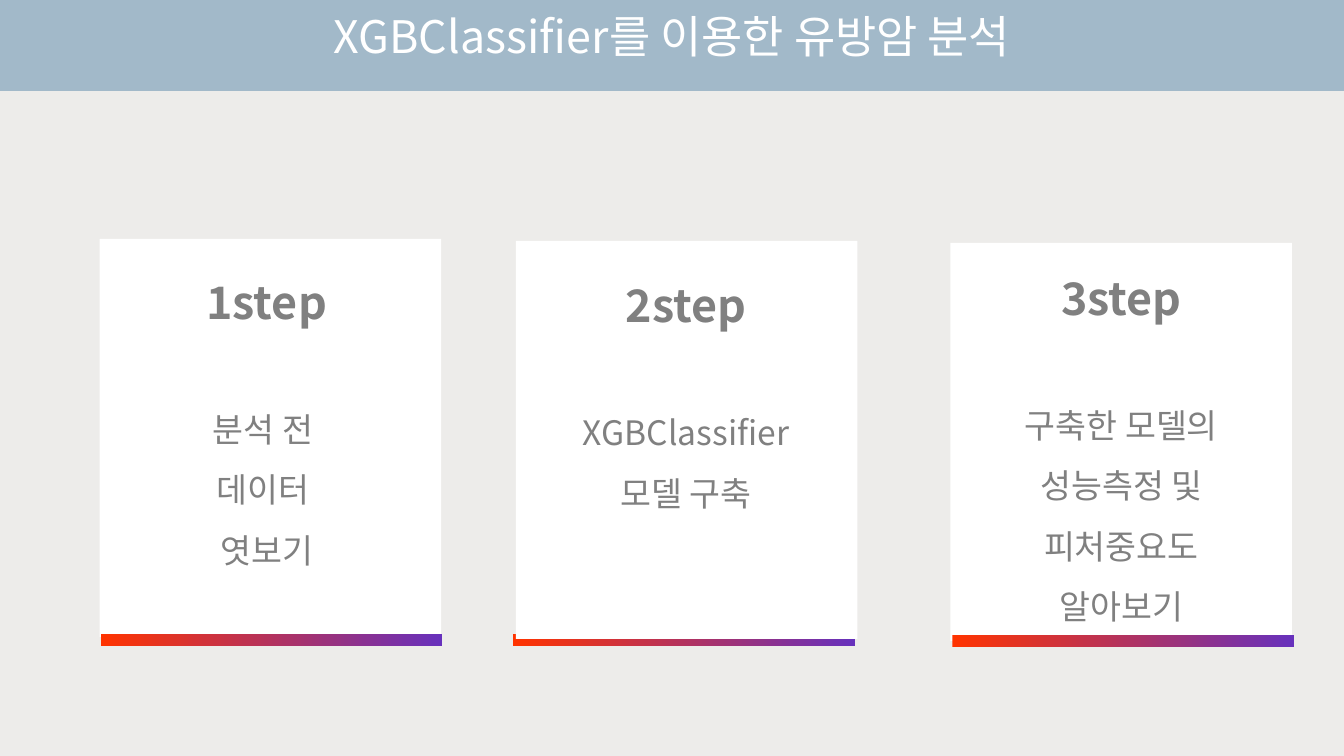
"""Build a slide with three step cards for a breast cancer analysis."""
import pptx
import pptx.util
import pptx.dml.color
import pptx.enum.shapes
import pptx.enum.text
import pptx.oxml
import pptx.oxml.ns

Cm, Pt = pptx.util.Cm, pptx.util.Pt
FONT = "Noto Sans CJK KR"
CARD_WIDTH, CARD_HEIGHT, BAR_HEIGHT = 8.61, 10.03, 0.3
TEXT_WIDTH = 6.22


def paint(fill, colors, positions=(0, 1), angle=0):
    """Fill with one hex colour, or with a gradient between two."""
    rgb = [pptx.dml.color.RGBColor.from_string(color) for color in colors]
    if len(rgb) == 1:
        fill.solid()
        fill.fore_color.rgb = rgb[0]
        return
    fill.gradient()
    fill.gradient_angle = angle
    for stop, color, position in zip(fill.gradient_stops, rgb, positions):
        stop.color.rgb = color
        stop.position = position


def write(paragraph, text, color, paragraph_format, **font_format):
    """Add a centred run with the given format."""
    run = paragraph.add_run()
    run.text = text
    paragraph.alignment = pptx.enum.text.PP_ALIGN.CENTER
    for name, value in paragraph_format.items():
        setattr(paragraph, name, value)
    for name, value in {"name": FONT, **font_format}.items():
        setattr(run.font, name, value)
    paint(run.font.fill, [color])
    east_asian = pptx.oxml.parse_xml(
        f'<a:ea {pptx.oxml.ns.nsdecls("a")} typeface="{FONT}"/>')
    run.font._element.find(pptx.oxml.ns.qn("a:latin")).addnext(east_asian)


presentation = pptx.Presentation()
presentation.slide_width, presentation.slide_height = Cm(33.87), Cm(19.05)
slide = presentation.slides.add_slide(presentation.slide_layouts[5])
paint(slide.background.fill, ["EDECEA", "A2B9C9"], (0.88, 0.88), 90)

title = slide.shapes.title
title_format = {"left": Cm(7.49), "top": Cm(0.1), "width": Cm(18.9), "height": Cm(1.63)}
for name, value in title_format.items():
    setattr(title, name, value)
title.text_frame.vertical_anchor = pptx.enum.text.MSO_ANCHOR.TOP
title.text_frame.auto_size = pptx.enum.text.MSO_AUTO_SIZE.SHAPE_TO_FIT_TEXT
write(title.text_frame.paragraphs[0], "XGBClassifier를 이용한 유방암 분석", "FFFFFF", {},
      size=Pt(32))

steps = [
    {"card": (2.51, 6.02), "bar": (2.54, 15.98), "text": (3.61, 6.12, 8.26),
     "bar_behind": False, "lines": ["분석 전 ", "데이터 ", "엿보기"]},
    {"card": (13.0, 6.07), "bar": (12.93, 15.98), "text": (14.18, 6.2, 6.73),
     "bar_behind": True, "lines": ["XGBClassifier", "모델 구축"]},
    {"card": (23.95, 6.12), "bar": (24.0, 16.0), "text": (25.15, 6.02, 12.4),
     "bar_behind": False, "lines": ["구축한 모델의", "성능측정 및", "피처중요도", "알아보기"]},
]
for number, step in enumerate(steps, 1):
    layers = [("card", CARD_HEIGHT, ["FFFFFF"]), ("bar", BAR_HEIGHT, ["FF3300", "6731BC"])]
    if step["bar_behind"]:
        layers.reverse()
    for layer, height, colors in layers:
        left, top = step[layer]
        shape = slide.shapes.add_shape(
            pptx.enum.shapes.MSO_SHAPE.RECTANGLE,
            Cm(left), Cm(top), Cm(CARD_WIDTH), Cm(height))
        shape.shadow.inherit = False
        shape.line.fill.background()
        paint(shape.fill, colors)

    left, top, height = step["text"]
    text_box = slide.shapes.add_textbox(Cm(left), Cm(top), Cm(TEXT_WIDTH), Cm(height))
    text_frame = text_box.text_frame
    text_frame.word_wrap = True
    text_frame.auto_size = pptx.enum.text.MSO_AUTO_SIZE.SHAPE_TO_FIT_TEXT
    write(text_frame.paragraphs[0], f"{number}step", "808080", {"line_spacing": 1.5},
          size=Pt(32), bold=True)
    for index, line in enumerate(step["lines"]):
        gap = Pt(0 if index else 43)
        write(text_frame.add_paragraph(), line, "808080",
              {"line_spacing": 1.5, "space_before": gap}, size=Pt(24), bold=False)

presentation.save("out.pptx")
